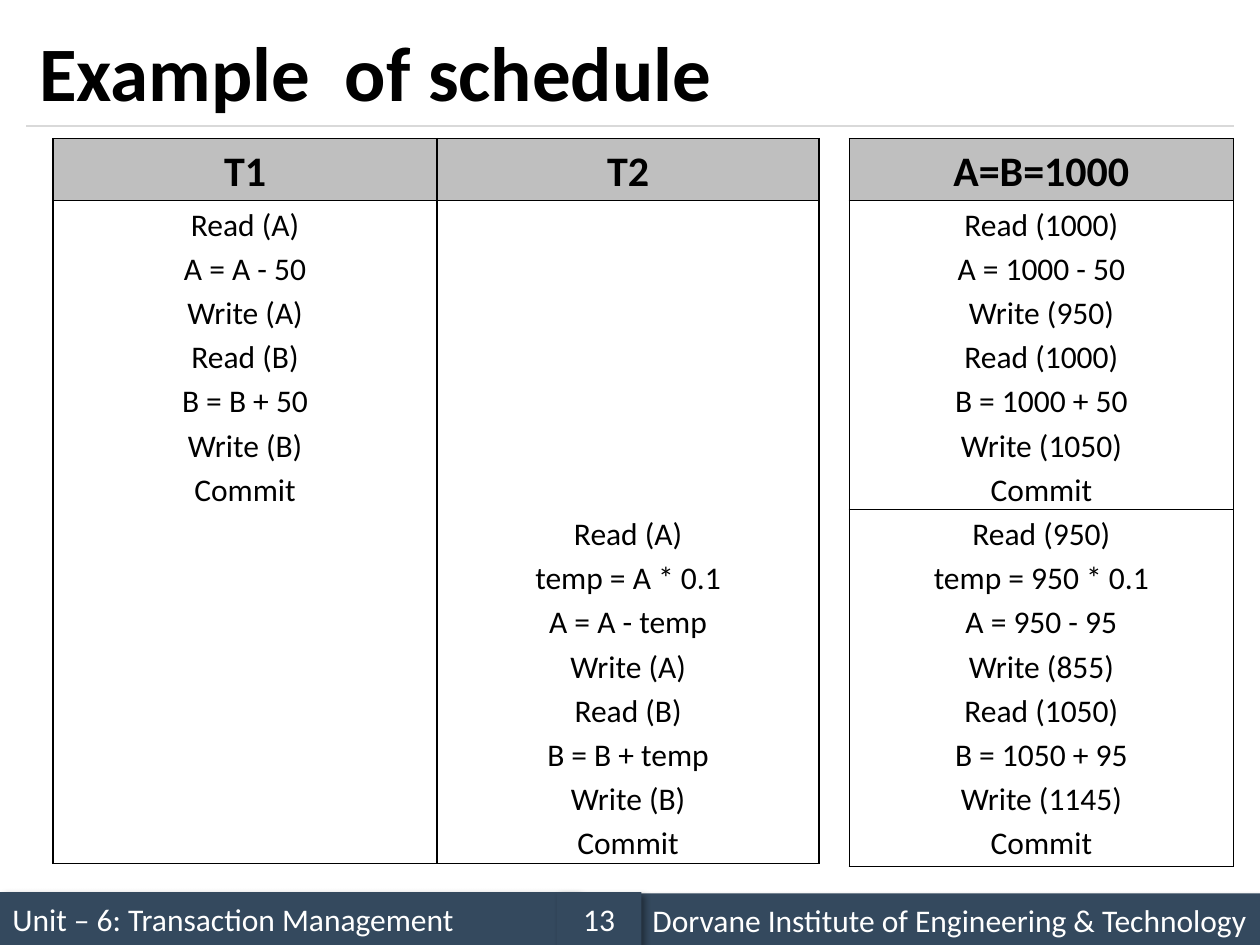
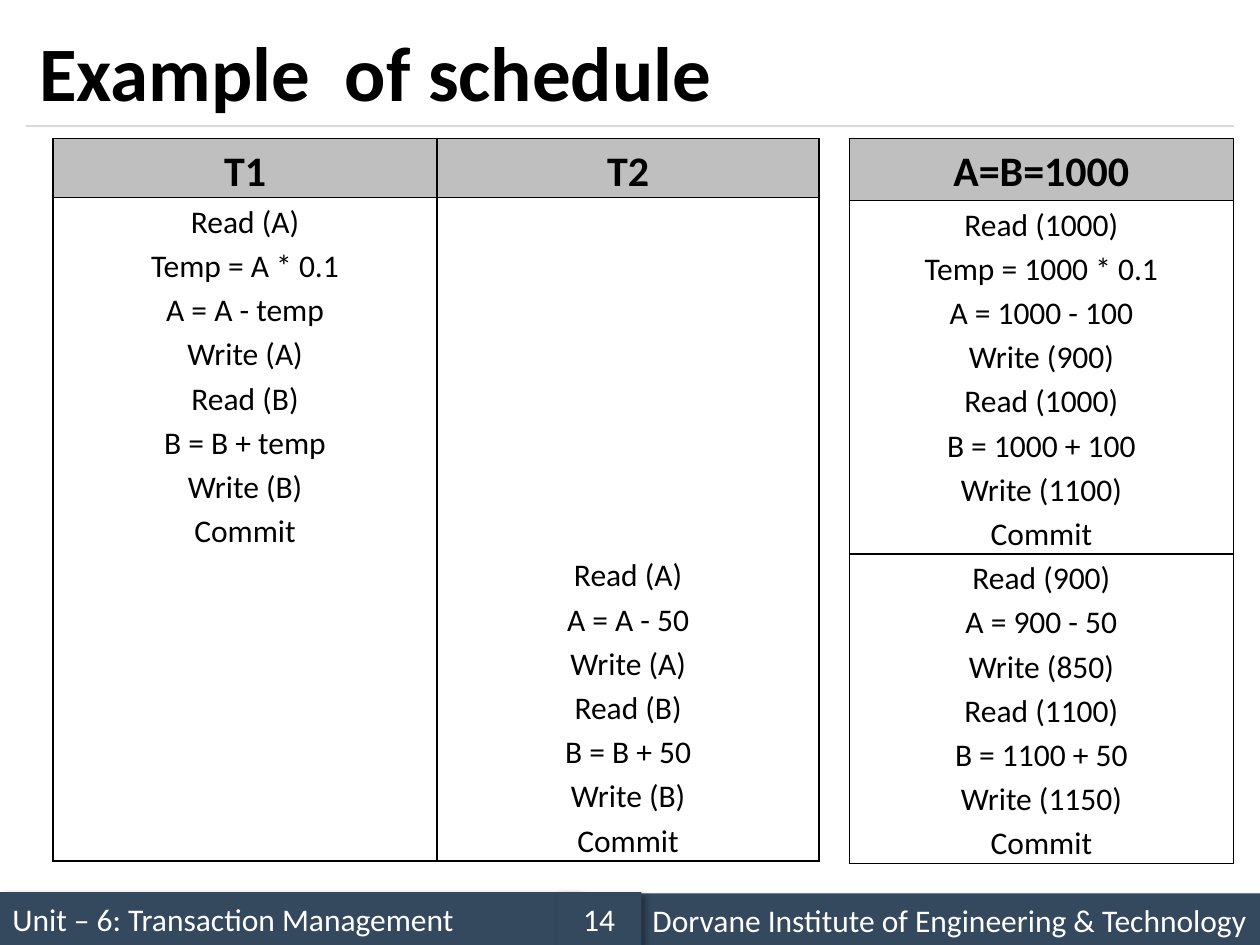
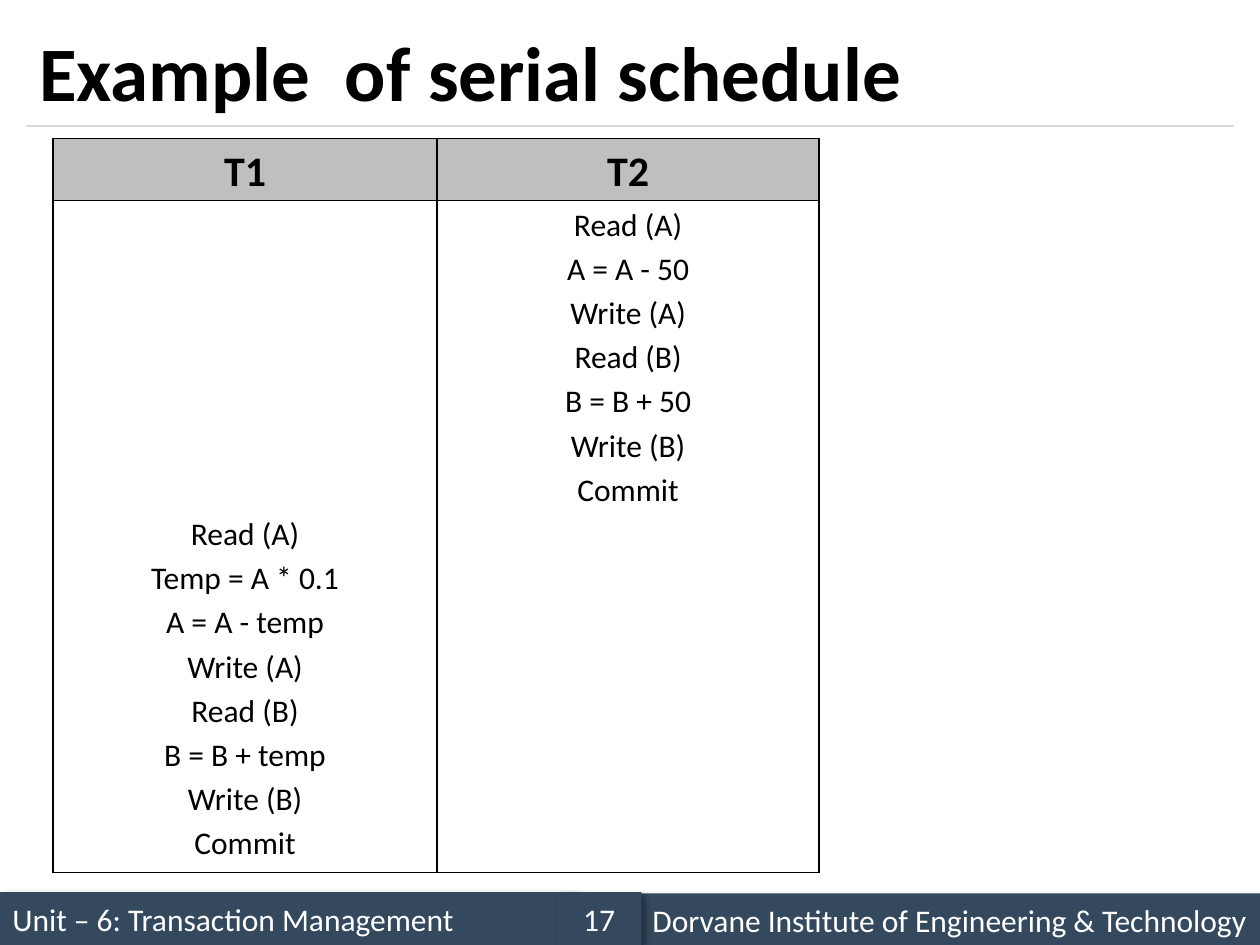
"""Build three slides that show transaction schedules beside the values they produce."""
from dataclasses import dataclass

from lxml import etree
from pptx import Presentation
from pptx import util as u
from pptx.dml.color import RGBColor
from pptx.enum import shapes, text
from pptx.oxml.ns import qn


@dataclass(frozen=True)
class Theme:
    font: str = "Calibri"
    ink: str = "000000"
    paper: str = "FFFFFF"
    band: str = "34495E"
    header: str = "BFBFBF"
    rule: str = "D9D9D9"
    title_size: int = 44
    header_size: int = 24
    body_size: int = 18
    leading: float = 1.15


THEME = Theme()
WIDTH, HEIGHT = 10, 7.5
MARGIN = 0.21
TITLE_TOP, TITLE_BOTTOM = 0.12, 1
TABLE_TOP = 1.1
STEP_COLUMNS = (3.05, 3.03)
VALUE_COLUMNS = (3.05,)
STEP_LEFT = 2 * MARGIN
VALUE_LEFT = WIDTH - MARGIN - sum(VALUE_COLUMNS)
BAND_HEIGHT = 0.42
CELL_FORMAT = {
    "margin_left": u.Inches(0.07), "margin_right": u.Inches(0.07),
    "margin_top": 0, "margin_bottom": 0,
}

UNIT = "Unit – 6: Transaction Management"
INSTITUTE = "Dorvane Institute of Engineering & Technology"

TRANSFER = ["Read (A)", "A = A - 50", "Write (A)", "Read (B)", "B = B + 50", "Write (B)", "Commit"]
INTEREST = ["Read (A)", "Temp = A * 0.1", "A = A - temp", "Write (A)",
            "Read (B)", "B = B + temp", "Write (B)", "Commit"]
INTEREST_LOWER = [step.replace("Temp", "temp") for step in INTEREST]

SLIDES = [
    {
        "title": "Example  of schedule", "number": 13,
        "steps": {"rows": (0.49, 2.42, 2.75),
                  "cells": [["T1", "T2"], [TRANSFER, []], [[], INTEREST_LOWER]]},
        "values": {"rows": (0.49, 2.42, 2.83), "cells": [
            ["A=B=1000"],
            [["Read (1000)", "A = 1000 - 50", "Write (950)", "Read (1000)",
              "B = 1000 + 50", "Write (1050)", "Commit"]],
            [["Read (950)", "temp = 950 * 0.1", "A = 950 - 95", "Write (855)",
              "Read (1050)", "B = 1050 + 95", "Write (1145)", "Commit"]]]},
    },
    {
        "title": "Example  of schedule", "number": 14,
        "steps": {"rows": (0.46, 2.58, 2.46),
                  "cells": [["T1", "T2"], [INTEREST, []], [[], TRANSFER]]},
        "values": {"rows": (0.49, 2.42, 2.43), "cells": [
            ["A=B=1000"],
            [["Read (1000)", "Temp = 1000 * 0.1", "A = 1000 - 100", "Write (900)",
              "Read (1000)", "B = 1000 + 100", "Write (1100)", "Commit"]],
            [["Read (900)", "A = 900 - 50", "Write (850)", "Read (1100)",
              "B = 1100 + 50", "Write (1150)", "Commit"]]]},
    },
    {
        "title": "Example  of serial schedule", "number": 17,
        "steps": {"rows": (0.49, 2.42, 2.88),
                  "cells": [["T1", "T2"], [[], TRANSFER], [INTEREST, []]]},
    },
]


def inches(*lengths):
    return [u.Inches(length) for length in lengths]


def assign(target, values):
    for name, value in values.items():
        setattr(target, name, value)


def style(frame, size, color, align, bold=False, leading=1.0):
    for paragraph in frame.paragraphs:
        assign(paragraph, {"alignment": align, "line_spacing": leading})
        for run in paragraph.runs:
            assign(run.font, {"name": THEME.font, "size": u.Pt(size), "bold": bold})
            run.font.color.rgb = RGBColor.from_string(color)


def paint(fill, color):
    fill.solid()
    fill.fore_color.rgb = RGBColor.from_string(color)


def add_band(slide, words, left, top, width, align=text.PP_ALIGN.LEFT):
    band = slide.shapes.add_shape(shapes.MSO_SHAPE.RECTANGLE, *inches(left, top, width, BAND_HEIGHT))
    paint(band.fill, THEME.band)
    band.line.fill.background()
    band.shadow.inherit = False
    effects = band._element.spPr.find(qn("a:effectLst"))
    shadow = etree.SubElement(effects, qn("a:outerShdw"), blurRad=str(u.Pt(4)),
                              dist=str(u.Pt(3)), dir="2700000", algn="tl", rotWithShape="0")
    shade = etree.SubElement(shadow, qn("a:srgbClr"), val=THEME.ink)
    etree.SubElement(shade, qn("a:alpha"), val="40000")
    frame = band.text_frame
    assign(frame, {"text": words, "word_wrap": True, "vertical_anchor": text.MSO_ANCHOR.MIDDLE})
    style(frame, THEME.body_size, THEME.paper, align)


def add_frame(slide, number):
    add_band(slide, UNIT, 0, 7.08, 4.58)
    rule = slide.shapes.add_connector(
        shapes.MSO_CONNECTOR.STRAIGHT,
        *inches(MARGIN, TITLE_BOTTOM, WIDTH - MARGIN, TITLE_BOTTOM))
    rule.line.color.rgb = RGBColor.from_string(THEME.rule)
    rule.line.width = u.Pt(0.75)
    etree.SubElement(rule._element.spPr, qn("a:effectLst"))
    add_band(slide, INSTITUTE, 5.08, 7.09, WIDTH - 5.08)
    add_band(slide, str(number), 4.42, 7.08, 0.67, text.PP_ALIGN.CENTER)


def add_title(slide, words):
    title = slide.shapes.title
    box = (MARGIN, TITLE_TOP, WIDTH - 2 * MARGIN, TITLE_BOTTOM - TITLE_TOP)
    assign(title, dict(zip(("left", "top", "width", "height"), inches(*box))))
    assign(title.text_frame, {"text": words, "word_wrap": True, "auto_size": text.MSO_AUTO_SIZE.NONE,
                              "vertical_anchor": text.MSO_ANCHOR.MIDDLE})
    style(title.text_frame, THEME.title_size, THEME.ink, text.PP_ALIGN.LEFT, bold=True)


def add_borders(cell, hidden):
    for side in "LRTB":
        line = etree.SubElement(cell._tc.get_or_add_tcPr(), qn(f"a:ln{side}"), w=str(u.Pt(1)))
        if side == hidden:
            etree.SubElement(line, qn("a:noFill"))
        else:
            fill = etree.SubElement(line, qn("a:solidFill"))
            etree.SubElement(fill, qn("a:srgbClr"), val=THEME.ink)


def add_schedule(slide, schedule, left, columns, divided):
    rows, cells = schedule["rows"], schedule["cells"]
    table = slide.shapes.add_table(len(rows), len(columns),
                                   *inches(left, TABLE_TOP, sum(columns), sum(rows))).table
    assign(table, {"first_row": False, "horz_banding": False})
    for column, width in zip(table.columns, columns):
        column.width = u.Inches(width)
    for r, height in enumerate(rows):
        table.rows[r].height = u.Inches(height)
        for c, content in enumerate(cells[r]):
            cell = table.cell(r, c)
            heading = r == 0
            assign(cell, CELL_FORMAT)
            cell.text = content if heading else "\n".join(content)
            add_borders(cell, None if divided else {1: "B", 2: "T"}.get(r))
            if heading:
                paint(cell.fill, THEME.header)
            else:
                cell.fill.background()
            style(cell.text_frame, THEME.header_size if heading else THEME.body_size,
                  THEME.ink, text.PP_ALIGN.CENTER, heading, THEME.leading)


def build():
    deck = Presentation()
    deck.slide_width, deck.slide_height = inches(WIDTH, HEIGHT)
    for page in SLIDES:
        slide = deck.slides.add_slide(deck.slide_layouts.get_by_name("Title Only"))
        paint(slide.background.fill, THEME.paper)
        add_frame(slide, page["number"])
        add_title(slide, page["title"])
        add_schedule(slide, page["steps"], STEP_LEFT, STEP_COLUMNS, divided=False)
        if "values" in page:
            add_schedule(slide, page["values"], VALUE_LEFT, VALUE_COLUMNS, divided=True)
    deck.save("out.pptx")


build()
